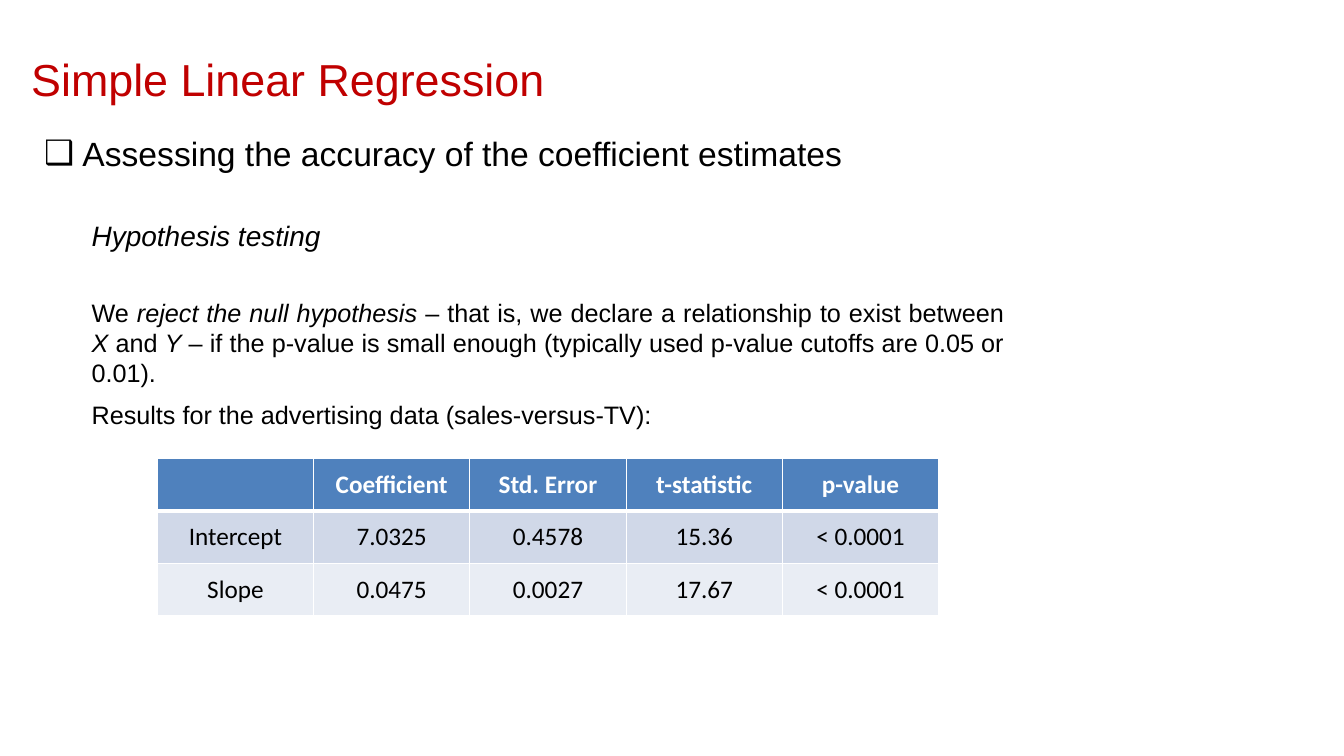
from lxml.etree import SubElement
from pptx import Presentation
from pptx.dml.color import RGBColor
from pptx.enum.shapes import MSO_SHAPE
from pptx.enum.text import MSO_ANCHOR, PP_ALIGN
from pptx.oxml.ns import qn
from pptx.util import Inches, Pt

BLACK, WHITE, RED = "000000", "FFFFFF", "C00000"
HEADER_FILL, BAND_FILLS = "4F81BD", ("D0D8E8", "E9EDF4")


def color(hex_string):
    return RGBColor.from_string(hex_string)


def add_border(cell, side, width):
    properties = cell._tc.get_or_add_tcPr()
    line = SubElement(properties, qn(f"a:ln{side}"), w=str(Pt(width)))
    fill = SubElement(line, qn("a:solidFill"))
    SubElement(fill, qn("a:srgbClr"), val=WHITE)


def add_bullet(paragraph, character, indent):
    properties = paragraph._p.get_or_add_pPr()
    properties.set("marL", str(indent))
    properties.set("indent", str(-indent))
    SubElement(properties, qn("a:buFont"), typeface="Arial")
    SubElement(properties, qn("a:buChar"), char=character)


class SlideBuilder:
    """Holds the text style and the slide being built."""

    def __init__(self, slide, text_font="Arial", table_font="Calibri"):
        self.slide = slide
        self.text_font = text_font
        self.table_font = table_font

    def place(self, shape, left, top, width, height):
        shape.left, shape.top = Inches(left), Inches(top)
        shape.width, shape.height = Inches(width), Inches(height)

    def add_runs(self, frame, runs, size, text_color=BLACK, align=PP_ALIGN.LEFT,
                 font=None, bold=False):
        """Fill the first paragraph with (text, italic) runs."""
        paragraph = frame.paragraphs[0]
        paragraph.alignment = align
        for text, italic in runs:
            run = paragraph.add_run()
            run.text = text
            run.font.name = font or self.text_font
            run.font.size = Pt(size)
            run.font.bold = bold
            run.font.italic = italic
            run.font.color.rgb = color(text_color)

    def title(self, text, box):
        title = self.slide.shapes.title
        self.place(title, *box)
        title.text_frame.vertical_anchor = MSO_ANCHOR.MIDDLE
        self.add_runs(title.text_frame, [(text, False)], 32, RED)

    def heading(self, text, box):
        shape = self.slide.shapes.add_shape(MSO_SHAPE.RECTANGLE, *map(Inches, box))
        shape.shadow.inherit = False
        shape.fill.solid()
        shape.fill.fore_color.rgb = color(WHITE)
        shape.line.fill.background()
        frame = shape.text_frame
        frame.word_wrap = True
        frame.vertical_anchor = MSO_ANCHOR.TOP
        add_bullet(frame.paragraphs[0], "❑", Inches(0.38))
        self.add_runs(frame, [(text, False)], 24)

    def text(self, runs, box, size=18, align=PP_ALIGN.LEFT):
        frame = self.slide.shapes.add_textbox(*map(Inches, box)).text_frame
        frame.word_wrap = True
        self.add_runs(frame, runs, size, align=align)

    def table(self, rows, left, top, column_width, row_height):
        column_count = len(rows[0])
        table = self.slide.shapes.add_table(
            len(rows), column_count, Inches(left), Inches(top),
            Inches(column_width * column_count), Inches(row_height * len(rows))).table
        for row_index, values in enumerate(rows):
            is_header = row_index == 0
            fill = HEADER_FILL if is_header else BAND_FILLS[(row_index - 1) % 2]
            for column_index, value in enumerate(values):
                cell = table.cell(row_index, column_index)
                cell.vertical_anchor = MSO_ANCHOR.MIDDLE
                for side in "LRTB":
                    thick = (is_header and side == "B") or (row_index == 1 and side == "T")
                    add_border(cell, side, 3 if thick else 1)
                cell.fill.solid()
                cell.fill.fore_color.rgb = color(fill)
                if value:
                    self.add_runs(cell.text_frame, [(value, False)], 18,
                                  WHITE if is_header else BLACK, PP_ALIGN.CENTER,
                                  self.table_font, is_header)


def main():
    presentation = Presentation()
    presentation.slide_width, presentation.slide_height = Inches(13.33), Inches(7.5)
    title_only = presentation.slide_layouts[5]
    builder = SlideBuilder(presentation.slides.add_slide(title_only))

    builder.title("Simple Linear Regression", (0.21, 0.41, 9.45, 0.74))
    builder.heading("Assessing the accuracy of the coefficient estimates",
                    (0.34, 1.27, 11.33, 0.5))
    builder.text([("Hypothesis testing", True)], (0.81, 2.12, 2.6, 0.44), size=20)
    builder.text([
        ("We ", False),
        ("reject the null hypothesis ", True),
        ("– that is, we declare a relationship to exist between ", False),
        ("X", True),
        (" and ", False),
        ("Y", True),
        (" – if the p-value is small enough (typically used p-value cutoffs "
         "are 0.05 or 0.01).", False),
    ], (0.81, 2.9, 9.25, 1.01), align=PP_ALIGN.JUSTIFY)
    builder.table([
        ("", "Coefficient", "Std. Error", "t-statistic", "p-value"),
        ("Intercept", "7.0325", "0.4578", "15.36", "< 0.0001"),
        ("Slope", "0.0475", "0.0027", "17.67", "< 0.0001"),
    ], left=1.56, top=4.55, column_width=1.55, row_height=0.52)
    builder.text([("Results for the advertising data (sales-versus-TV):", False)],
                 (0.81, 3.91, 6.08, 0.4))

    presentation.save("out.pptx")


if __name__ == "__main__":
    main()
